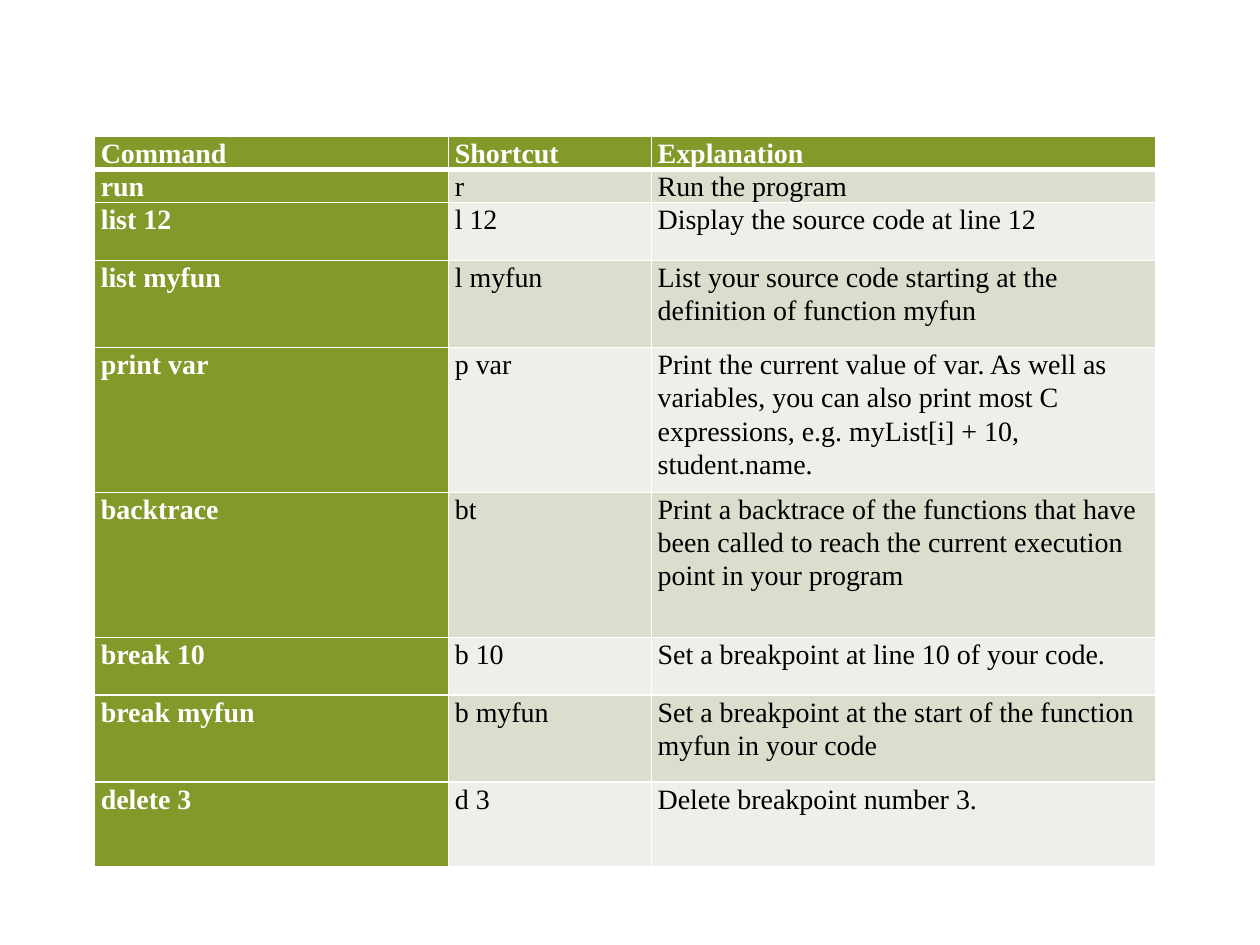
from lxml import etree
from pptx import Presentation
from pptx.dml.color import RGBColor
from pptx.oxml import ns
from pptx.util import Inches, Pt

WHITE = RGBColor(0xFF, 0xFF, 0xFF)
BLACK = RGBColor(0, 0, 0)
OLIVE = RGBColor(0x83, 0x99, 0x2A)
BANDS = (RGBColor(0xD9, 0xDE, 0xCD), RGBColor(0xED, 0xEF, 0xE8))

COLUMN_WIDTHS = (2.81, 1.61, 4)
COMMANDS = (
    (0.23, "Command", "Shortcut", "Explanation"),
    (0.23, "run", "r", "Run the program"),
    (0.46, "list 12", "l 12", "Display the source code at line 12"),
    (0.69, "list myfun", "l myfun",
     "List your source code starting at the definition of function myfun"),
    (1.15, "print var", "p var",
     "Print the current value of var. As well as variables, you can also print "
     "most C expressions, e.g. myList[i] + 10, student.name."),
    (1.15, "backtrace", "bt",
     "Print a backtrace of the functions that have been called to reach the "
     "current execution point in your program"),
    (0.46, "break 10", "b 10", "Set a breakpoint at line 10 of your code."),
    (0.69, "break myfun", "b myfun",
     "Set a breakpoint at the start of the function myfun in your code"),
    (0.67, "delete 3", "d 3", "Delete breakpoint number 3."),
)
MARGINS = {
    "margin_left": Inches(0.05),
    "margin_right": Inches(0.05),
    "margin_top": 0,
    "margin_bottom": 0,
}


def set_attributes(target, values):
    """Set each named format value on the target."""
    for name, value in values.items():
        setattr(target, name, value)


def draw_borders(cell, widths):
    """Draw white cell borders, with widths in points by side."""
    properties = cell._tc.get_or_add_tcPr()
    for side, width in widths.items():
        line = etree.SubElement(properties, ns.qn(f"a:ln{side}"), w=str(Pt(width)))
        fill = etree.SubElement(line, ns.qn("a:solidFill"))
        etree.SubElement(fill, ns.qn("a:srgbClr"), val=str(WHITE))


def fill_cell(cell, words, row, column):
    """Write and format one cell according to its place in the table."""
    is_heading = row == 0 or column == 0
    set_attributes(cell, MARGINS)
    draw_borders(cell, {"L": 1, "R": 1, "T": 3 if row == 1 else 1, "B": 3 if row == 0 else 1})
    cell.fill.solid()
    cell.fill.fore_color.rgb = OLIVE if is_heading else BANDS[(row - 1) % 2]
    para = cell.text_frame.paragraphs[0]
    para.line_spacing = 1.07
    span = para.add_run()
    span.text = words
    set_attributes(span.font, {"name": "Times New Roman", "size": Pt(16), "bold": is_heading})
    span.font.color.rgb = WHITE if is_heading else BLACK


def add_command_table(page):
    """Add the table of debugger commands."""
    height = sum(command[0] for command in COMMANDS)
    frame = page.shapes.add_table(
        len(COMMANDS), len(COLUMN_WIDTHS),
        Inches(0.75), Inches(1.08), Inches(sum(COLUMN_WIDTHS)), Inches(height))
    table = frame.table
    for column, width in zip(table.columns, COLUMN_WIDTHS):
        column.width = Inches(width)
    for row, (row_height, *entries) in enumerate(COMMANDS):
        table.rows[row].height = Inches(row_height)
        for column, words in enumerate(entries):
            fill_cell(table.cell(row, column), words, row, column)


def main():
    """Build and save the deck."""
    deck = Presentation()
    set_attributes(deck, {"slide_width": Inches(10), "slide_height": Inches(7.5)})
    page = deck.slides.add_slide(deck.slide_layouts[6])
    add_command_table(page)
    deck.save("out.pptx")


if __name__ == "__main__":
    main()
